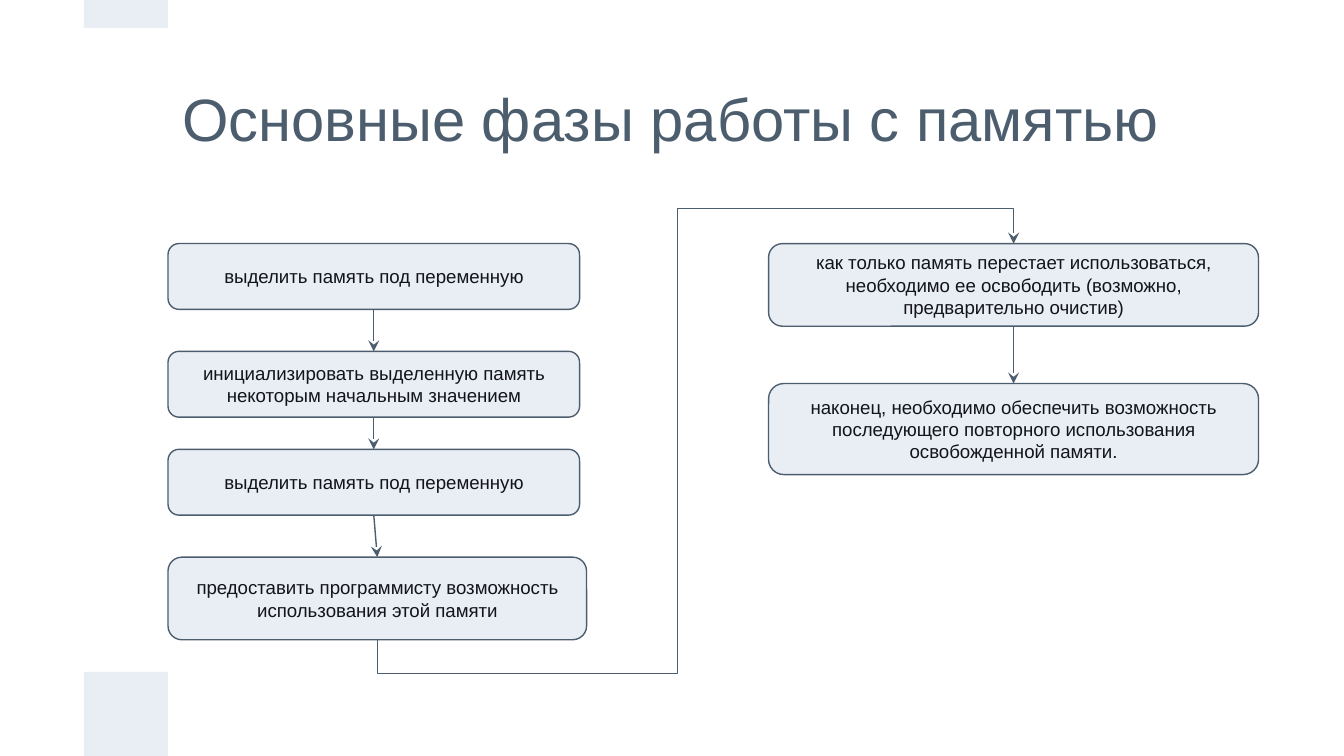
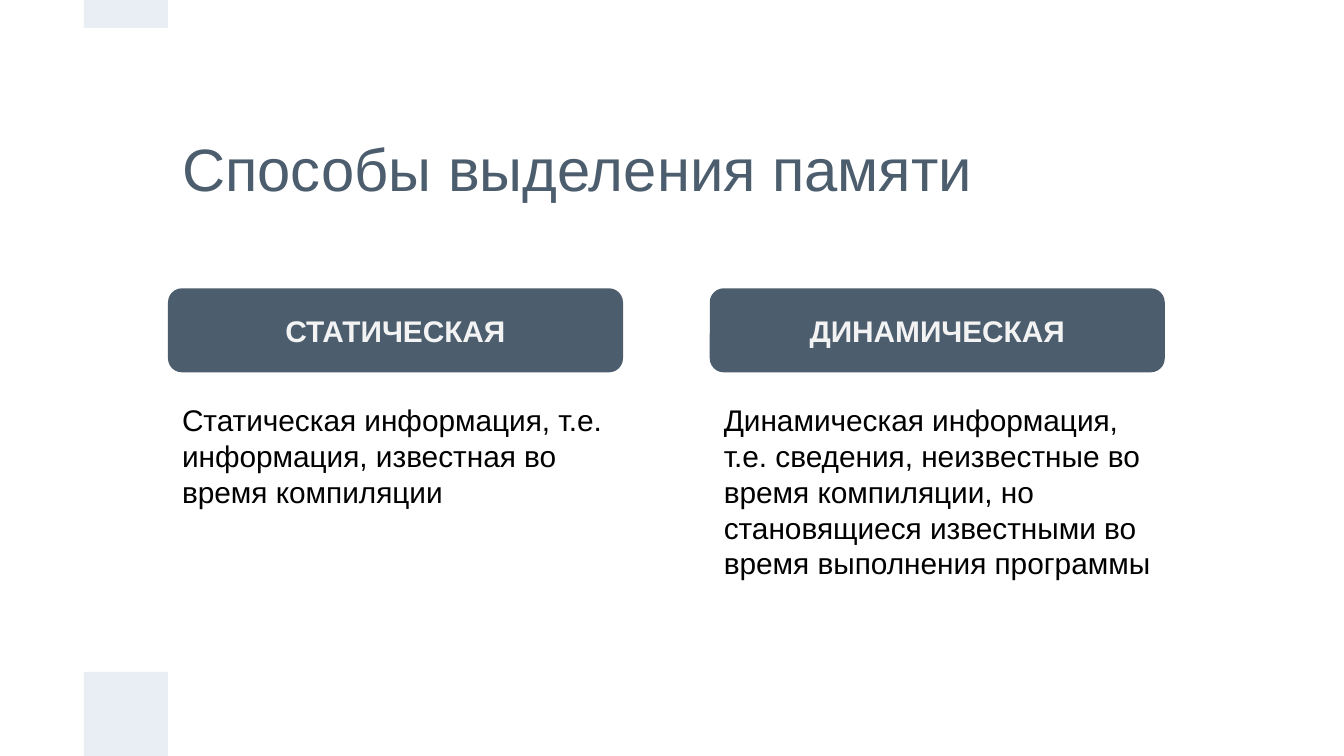
from itertools import pairwise
from pptx import Presentation
from pptx.dml.color import RGBColor
from pptx.enum.shapes import MSO_CONNECTOR, MSO_SHAPE
from pptx.enum.text import MSO_ANCHOR, MSO_AUTO_SIZE, PP_ALIGN
from pptx.oxml.ns import qn
from pptx.util import Pt
from lxml.etree import SubElement

PX = 9525  # 96 px to the inch
SLATE, PALE, INK, BLACK, OFF_WHITE = "4C5D6E", "E9EDF4", "13131E", "000000", "F3F3F3"
color = RGBColor.from_string

TITLE = {"size": 32, "color": SLATE, "align": PP_ALIGN.LEFT, "anchor": MSO_ANCHOR.MIDDLE, "inset": 10}
STEP = {"size": 10, "color": INK, "align": PP_ALIGN.CENTER, "anchor": MSO_ANCHOR.MIDDLE, "inset": 5}
HEADING = STEP | {"size": 16, "color": OFF_WHITE, "bold": True}
BODY = {"size": 16, "color": BLACK, "align": PP_ALIGN.LEFT, "anchor": MSO_ANCHOR.TOP, "inset": 5}


def write(shape, rect, text, style):
    """Place a shape, fill in its text and format it."""
    for side, value in zip(("left", "top", "width", "height"), rect):
        setattr(shape, side, value * PX)
    frame = shape.text_frame
    frame.text = text
    paragraph = frame.paragraphs[0]
    inset = style["inset"] * PX
    formats = {
        frame: {"word_wrap": True, "auto_size": MSO_AUTO_SIZE.NONE,
                "vertical_anchor": style["anchor"], "margin_left": 10 * PX,
                "margin_right": 10 * PX, "margin_top": inset, "margin_bottom": inset},
        paragraph: {"alignment": style["align"], "space_before": Pt(0), "line_spacing": 1.0},
        paragraph.runs[0].font: {"name": "Arial", "size": Pt(style["size"]),
                                 "bold": style.get("bold", False)},
    }
    for target, values in formats.items():
        for name, value in values.items():
            setattr(target, name, value)
    paragraph.runs[0].font.color.rgb = color(style["color"])


def add_card(slide, rect, text, style, fill, outlined):
    """Add a rounded card with centred text."""
    card = slide.shapes.add_shape(MSO_SHAPE.ROUNDED_RECTANGLE, 0, 0, PX, PX)
    card.shadow.inherit = False
    card.fill.solid()
    card.fill.fore_color.rgb = color(fill)
    if outlined:
        card.line.color.rgb = color(SLATE)
        card.line.width = Pt(0.75)
    else:
        card.line.fill.background()
    write(card, rect, text, style)
    return card


prs = Presentation()
prs.slide_width, prs.slide_height = 960 * PX, 540 * PX
phases = prs.slides.add_slide(prs.slide_layouts[5])
methods = prs.slides.add_slide(prs.slide_layouts[3])

# Shared bands, moved to the master behind everything else
for top, height in ((480, 60), (0, 20)):
    band = phases.shapes.add_shape(MSO_SHAPE.RECTANGLE, 60 * PX, top * PX, 60 * PX, height * PX)
    band.shadow.inherit = False
    band.fill.solid()
    band.fill.fore_color.rgb = color(PALE)
    band.line.fill.background()
    prs.slide_master.shapes._spTree.insert(2, band._element)

# Slide 1: phases of working with memory
write(phases.shapes.title, (120, 33, 720, 102), "Основные фазы работы с памятью", TITLE)
steps = [
    add_card(phases, rect, text, STEP, PALE, True)
    for rect, text in (
        ((120, 174, 294, 47), "выделить память под переменную"),
        ((120, 251, 294, 47), "инициализировать выделенную память некоторым начальным значением"),
        ((120, 321, 294, 47), "выделить память под переменную"),
        ((120, 398, 299, 59), "предоставить программисту возможность использования этой памяти"),
        ((549, 174, 350, 59), "как только память перестает использоваться, необходимо ее освободить "
                              "(возможно, предварительно очистив)"),
        ((549, 274, 350, 65), "наконец, необходимо обеспечить возможность последующего повторного "
                              "использования освобожденной памяти."),
    )
]

# Arrows from each phase to the next
for upper, lower in pairwise(steps):
    wraps = lower.top < upper.top
    kind = MSO_CONNECTOR.ELBOW if wraps else MSO_CONNECTOR.STRAIGHT
    arrow = phases.shapes.add_connector(kind, 0, 0, 0, 0)
    arrow.begin_connect(upper, 2)
    arrow.end_connect(lower, 0)
    arrow.line.color.rgb = color(SLATE)
    arrow.line.width = Pt(0.75)
    SubElement(arrow.line._get_or_add_ln(), qn("a:tailEnd"), type="stealth")
    properties = arrow._element.spPr
    SubElement(properties, qn("a:effectLst"))
    if wraps:
        # Five-part elbow: down, across, up between the columns, across, down
        start_x, start_y, end_x, end_y = arrow.begin_x, arrow.begin_y, arrow.end_x, arrow.end_y
        run, rise = end_x - start_x, start_y - end_y
        bends = ((start_y - 481 * PX) / rise, (484 * PX - start_x) / run, (start_y - 149 * PX) / rise)
        frame = properties.find(qn("a:xfrm"))
        for flip in ("flipH", "flipV"):
            frame.attrib.pop(flip, None)
        frame.set("rot", str(270 * 60000))
        arrow.left, arrow.top = (start_x + end_x - rise) // 2, (start_y + end_y - run) // 2
        arrow.width, arrow.height = rise, run
        geometry = properties.find(qn("a:prstGeom"))
        geometry.set("prst", "bentConnector5")
        guides = geometry.find(qn("a:avLst"))
        for number, bend in enumerate(bends, 1):
            SubElement(guides, qn("a:gd"), name=f"adj{number}", fmla=f"val {round(bend * 100000)}")

# Slide 2: ways of allocating memory
write(methods.shapes.title, (120, 60, 720, 120), "Способы выделения памяти", TITLE)
columns = (
    (120, 335, 78, "СТАТИЧЕСКАЯ",
     "Статическая информация, т.е. информация, известная во время компиляции"),
    (507, 332, 123, "ДИНАМИЧЕСКАЯ",
     "Динамическая информация, т.е. сведения, неизвестные во время компиляции, "
     "но становящиеся известными во время выполнения программы"),
)
for index, (left, width, height, heading, description) in enumerate(columns, 1):
    add_card(methods, (left, 206, 325, 60), heading, HEADING, SLATE, False)
    body = methods.placeholders[index]
    write(body, (left, 282, width, height), description, BODY)
    paragraph_format = body.text_frame.paragraphs[0]._p.get_or_add_pPr()
    paragraph_format.set("marL", "0")
    paragraph_format.set("indent", "0")
    SubElement(paragraph_format, qn("a:buNone"))

prs.save("out.pptx")
